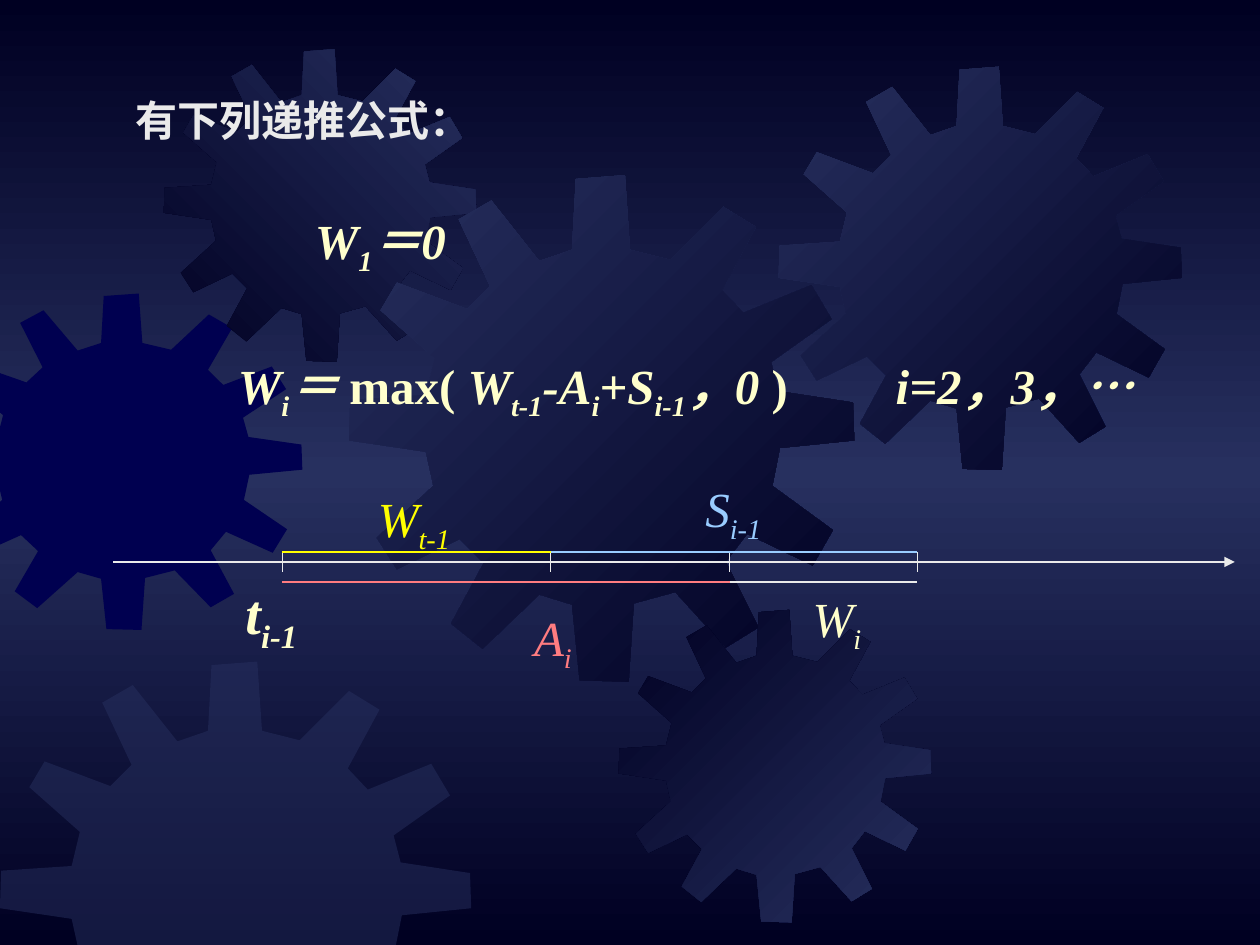
from typing import NamedTuple, Optional

from lxml import etree
from copy import deepcopy
from pptx import Presentation
from pptx import util as u
from pptx.dml.color import RGBColor
from pptx.enum import shapes, text
from pptx.oxml.ns import qn

C = {"night": "000022", "steel": "27305F", "navy": "000050", "white": "EAEAEA",
     "cream": "FFFFCC", "yellow": "FFFF00", "blue": "99CCFF", "red": "FF7C80"}
FONT = "Times New Roman"
SLIDE_W, SLIDE_H = 10, 7.5

# Outline of one gear, in hundredths of an inch on a square of GEAR_SIZE
GEAR_SIZE = 401
GEAR = [
    (255, 67), (223, 59), (219, 0), (180, 3), (177, 59), (151, 68), (113, 20), (87, 35),
    (112, 88), (94, 106), (38, 85), (25, 107), (68, 145), (61, 174), (1, 178), (0, 210),
    (61, 219), (67, 246), (22, 287), (38, 312), (88, 288), (107, 307), (81, 355), (106, 375),
    (151, 332), (177, 340), (183, 400), (222, 401), (226, 339), (259, 330), (299, 374),
    (325, 358), (299, 306), (316, 284), (368, 309), (384, 281), (336, 246), (342, 216),
    (401, 210), (400, 180), (341, 171), (335, 148), (383, 114), (367, 87), (313, 109),
    (296, 91), (323, 41), (297, 25)]


class Gear(NamedTuple):
    x: float
    y: float
    w: float
    h: float
    colors: tuple
    angle: float = 315
    alpha: Optional[int] = None


class Run(NamedTuple):
    text: str
    sub: bool = False
    italic: bool = True


class Label(NamedTuple):
    x: float
    y: float
    w: float
    h: float
    runs: list
    color: str = "cream"
    size: int = 28
    bold: bool = False
    wrap: bool = False
    middle: bool = False
    spacing: Optional[float] = None
    tab: Optional[float] = None


class Segment(NamedTuple):
    x1: float
    y1: float
    x2: float
    y2: float
    color: str = "white"
    arrow: bool = False


def rgb(name: str) -> RGBColor:
    return RGBColor.from_string(C[name])


def set_gradient(fill, first: str, last: str, angle: float) -> None:
    fill.gradient()
    fill.gradient_angle = angle
    for stop, name, pos in zip(fill.gradient_stops, (first, last), (0, 1)):
        stop.color.rgb = rgb(name)
        stop.position = pos


def clip(points: list, axis: int, limit: float, sign: int) -> list:
    """Keep the part of a polygon where sign * (coordinate - limit) >= 0."""
    kept = []
    for a, b in zip(points, points[1:] + points[:1]):
        da, db = sign * (a[axis] - limit), sign * (b[axis] - limit)
        if da >= 0:
            kept.append(a)
        if da * db < 0:
            t = da / (da - db)
            kept.append((a[0] + t * (b[0] - a[0]), a[1] + t * (b[1] - a[1])))
    return kept


def draw_gear(s, g: Gear) -> None:
    pts = [(g.x + px / GEAR_SIZE * g.w, g.y + py / GEAR_SIZE * g.h) for px, py in GEAR]
    pts = clip(clip(pts, 0, 0, 1), 1, SLIDE_H, -1)
    pts = [(u.Inches(x), u.Inches(y)) for x, y in pts]
    fb = s.shapes.build_freeform(*pts[0])
    fb.add_line_segments(pts[1:], close=True)
    sp = fb.convert_to_shape()
    sp.shadow.inherit = False
    sp.line.fill.background()
    if len(g.colors) == 2:
        set_gradient(sp.fill, *g.colors, g.angle)
        return
    sp.fill.solid()
    sp.fill.fore_color.rgb = rgb(g.colors[0])
    if g.alpha:
        clr = next(sp._element.spPr.iter(qn("a:srgbClr")))
        etree.SubElement(clr, qn("a:alpha")).set("val", str(g.alpha * 1000))


def draw_label(s, b: Label) -> None:
    tf = s.shapes.add_textbox(*map(u.Inches, (b.x, b.y, b.w, b.h))).text_frame
    tf.word_wrap = b.wrap
    tf.auto_size = text.MSO_AUTO_SIZE.SHAPE_TO_FIT_TEXT
    if b.middle:
        tf.vertical_anchor = text.MSO_ANCHOR.MIDDLE
    p = tf.paragraphs[0]
    if b.tab:
        tabs = etree.SubElement(p._p.get_or_add_pPr(), qn("a:tabLst"))
        etree.SubElement(tabs, qn("a:tab"), pos=str(u.Inches(b.tab)), algn="l")
    if b.spacing:
        p.line_spacing = b.spacing
    for run in b.runs:
        r = p.add_run()
        r.text = run.text
        f = r.font
        f.name, f.size, f.bold, f.italic = FONT, u.Pt(b.size), b.bold, run.italic
        f.color.rgb = rgb(b.color)
        if run.sub:
            r._r.get_or_add_rPr().set("baseline", "-25000")


def draw_segment(s, g: Segment) -> None:
    cx = s.shapes.add_connector(shapes.MSO_CONNECTOR.STRAIGHT,
                                *map(u.Inches, (g.x1, g.y1, g.x2, g.y2)))
    cx.line.width = u.Pt(0.75)
    cx.line.color.rgb = rgb(g.color)
    if g.arrow:
        etree.SubElement(cx.line._get_or_add_ln(), qn("a:tailEnd"), type="triangle")
    etree.SubElement(cx._element.spPr, qn("a:effectLst"))


def symbol(base: str, index: str) -> list:
    return [Run(base), Run(index, sub=True)]


LIGHT_TO_DARK, DARK_TO_LIGHT = ("steel", "night"), ("night", "steel")
GEARS = [
    Gear(-0.46, 2.33, 2.86, 2.67, ("navy",)),
    Gear(1.3, 0.39, 2.48, 2.48, DARK_TO_LIGHT, angle=45),
    Gear(2.77, 1.39, 4.01, 4.02, LIGHT_TO_DARK),
    Gear(0, 5.25, 3.74, 3.74, ("steel",), alpha=50),
    Gear(4.91, 4.84, 2.48, 2.48, DARK_TO_LIGHT),
    Gear(6.18, 0.53, 3.2, 3.2, LIGHT_TO_DARK),
]

AXIS, UPPER, LOWER = 4.46, 4.38, 4.62
START, WAIT_END, ARRIVAL, SERVICE_END = TICKS = (2.24, 4.37, 5.79, 7.28)
SEGMENTS = [Segment(0.9, AXIS, 9.8, AXIS, arrow=True)]
SEGMENTS += [Segment(x, UPPER, x, 2 * AXIS - UPPER) for x in TICKS]
SEGMENTS += [
    Segment(START, UPPER, WAIT_END, UPPER, "yellow"),
    Segment(WAIT_END, UPPER, SERVICE_END, UPPER, "blue"),
    Segment(START, LOWER, ARRIVAL, LOWER, "red"),
    Segment(ARRIVAL, LOWER, SERVICE_END, LOWER),
]

RECURSION = [*symbol("W", "i"), Run("＝ "), Run("max( ", italic=False),
             *symbol("W", "t-1"), *symbol("-A", "i"), *symbol("+S", "i-1"),
             Run("，0 "), Run(")", italic=False), Run("\ti=2，3，…")]
LABELS = [
    Label(0.98, 0.6, 3.39, 0.6, [Run("有下列递推公式：", italic=False)], "white", 24,
          bold=True, wrap=True, middle=True, spacing=1.25),
    Label(2.4, 1.62, 2.44, 0.63, [*symbol("W", "1"), Run("＝0")], bold=True, wrap=True),
    Label(1.79, 2.77, 7.81, 0.63, RECURSION, bold=True, wrap=True, middle=True, tab=5.22),
    Label(1.85, 4.54, 1.57, 0.71, symbol("t", "i-1"), size=32, bold=True, wrap=True),
    Label(2.9, 3.83, 0.79, 0.63, symbol("W", "t-1"), "yellow"),
    Label(5.5, 3.75, 0.68, 0.63, symbol("S", "i-1"), "blue"),
    Label(4.14, 4.77, 0.52, 0.63, symbol("A", "i"), "red"),
    Label(6.35, 4.62, 0.62, 0.63, symbol("W", "i")),
]


def main() -> None:
    prs = Presentation()
    prs.slide_width, prs.slide_height = u.Inches(SLIDE_W), u.Inches(SLIDE_H)
    s = prs.slides.add_slide(prs.slide_layouts[6])
    bg = s.background.fill
    set_gradient(bg, "night", "night", 270)
    first = next(s._element.iter(qn("a:gs")))
    first.addnext(deepcopy(first))
    middle = bg.gradient_stops[1]
    middle.color.rgb, middle.position = rgb("steel"), 0.5
    for items, draw in ((GEARS, draw_gear), (SEGMENTS, draw_segment), (LABELS, draw_label)):
        for item in items:
            draw(s, item)
    prs.save("out.pptx")


if __name__ == "__main__":
    main()
